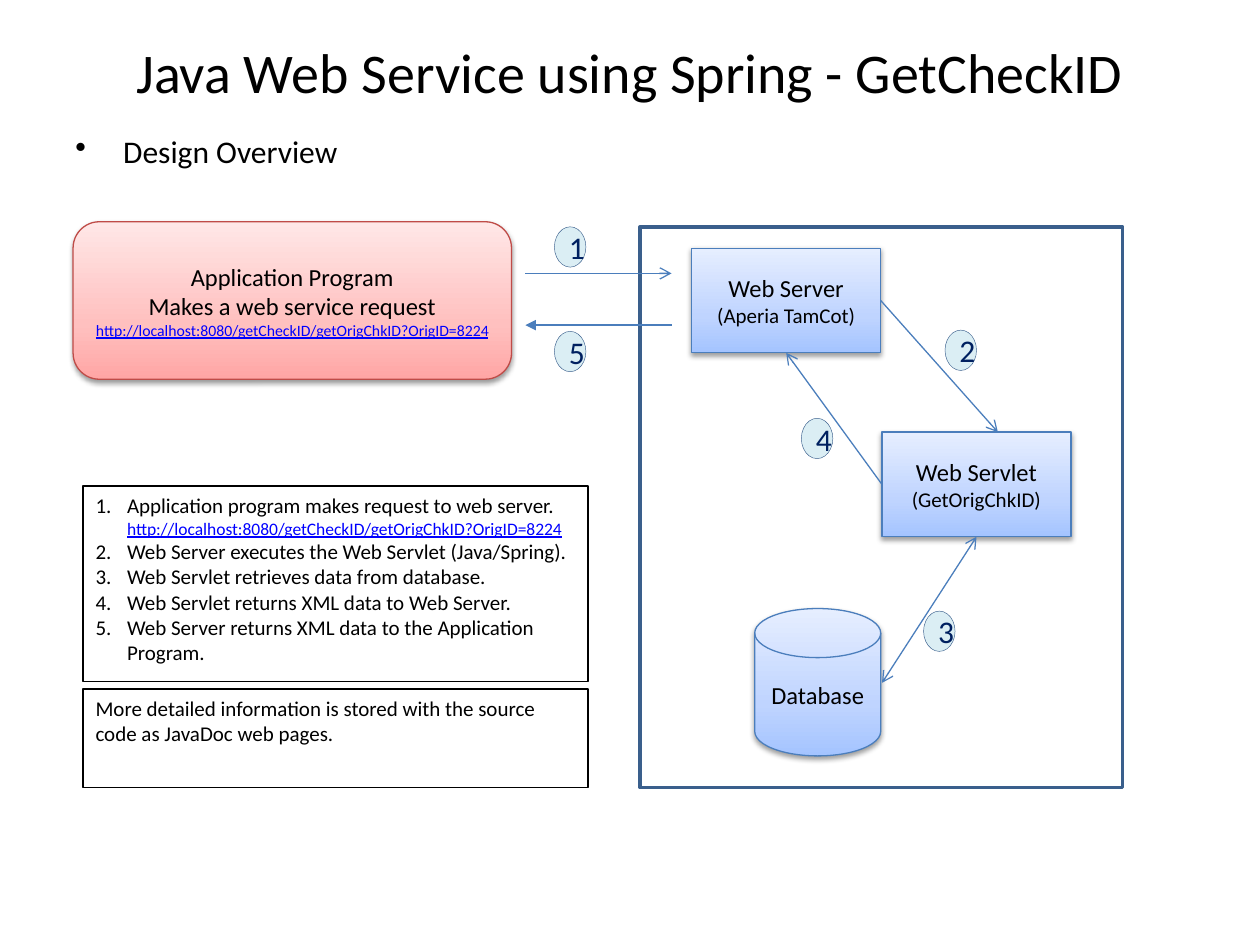
import copy
import pptx
import pptx.util
import pptx.dml.color
import pptx.enum.shapes
import pptx.enum.text
import pptx.oxml
import pptx.oxml.ns

Inches = pptx.util.Inches
Pt = pptx.util.Pt
SHAPE = pptx.enum.shapes.MSO_SHAPE
ALIGN = pptx.enum.text.PP_ALIGN
ANCHOR = pptx.enum.text.MSO_ANCHOR
qn = pptx.oxml.ns.qn
NS = pptx.oxml.ns.nsdecls("a")

COLORS = {
    "black": "000000", "white": "FFFFFF", "navy": "002060", "link": "0000FF",
    "frame": "3A5F8C", "blue": "4B7EBC", "red": "BF4C48", "badge": "DBEEF4",
}
BLUES = ("A4C4FF", "BFD4FF", "E6EEFF")
REDS = ("FFA6A5", "FFC0BF", "FFE7E7")
URL = "http://localhost:8080/getCheckID/getOrigChkID?OrigID=8224"


class Deck:
    face = "Calibri"

    def __init__(self, wide, high):
        self.show = pptx.Presentation()
        self.show.slide_width = Inches(wide)
        self.show.slide_height = Inches(high)
        self.slide = self.show.slides.add_slide(self.show.slide_layouts[6])

    def rgb(self, name):
        return pptx.dml.color.RGBColor.from_string(COLORS.get(name, name))

    def font(self, font, size, color="black"):
        font.name = self.face
        font.size = Pt(size)
        font.color.rgb = self.rgb(color)
        font.underline = color == "link"

    def label(self, shape, rows, align=ALIGN.LEFT, anchor=ANCHOR.TOP):
        frame = shape.text_frame
        frame.word_wrap = True
        frame.vertical_anchor = anchor
        for i, (text, *style) in enumerate(rows):
            para = frame.add_paragraph() if i else frame.paragraphs[0]
            para.text = text
            para.alignment = align
            self.font(para.font, *style)
        return frame.paragraphs

    def text(self, box, rows, **place):
        shape = self.slide.shapes.add_textbox(*map(Inches, box))
        return self.label(shape, rows, **place)

    def bullet(self, para, gap, tag, mark):
        props = para._p.get_or_add_pPr()
        props.set("marL", str(Inches(gap)))
        props.set("indent", str(-Inches(gap)))
        props.insert(0, pptx.oxml.parse_xml(f"<a:{tag} {NS} {mark}/>"))

    def shape(self, kind, box, line, width, fill=None):
        shape = self.slide.shapes.add_shape(kind, *map(Inches, box))
        shape.shadow.inherit = False
        shape.line.color.rgb = self.rgb(line)
        shape.line.width = Pt(width)
        if fill:
            shape.fill.solid()
            shape.fill.fore_color.rgb = self.rgb(fill)
        else:
            shape.fill.background()
        return shape

    def node(self, kind, box, rows, tones=BLUES, line="blue"):
        shape = self.shape(kind, box, line, 0.75)
        shape.fill.gradient()
        shape.fill.gradient_angle = 90
        props = shape._element.spPr
        stops = props.find(".//" + qn("a:gsLst"))
        stops.insert(1, copy.deepcopy(stops[0]))
        for stop, tone, spot in zip(shape.fill.gradient_stops, tones, (0, 0.35, 1)):
            stop.color.rgb = self.rgb(tone)
            stop.position = spot
        props.find(qn("a:effectLst")).append(pptx.oxml.parse_xml(
            f'<a:outerShdw {NS} blurRad="{Pt(3.1)}" dist="{Pt(1.6)}" dir="5400000" rotWithShape="0">'
            '<a:srgbClr val="000000"><a:alpha val="38000"/></a:srgbClr></a:outerShdw>'))
        self.label(shape, rows, ALIGN.CENTER, ANCHOR.MIDDLE)
        return shape

    def badge(self, num, left, top):
        shape = self.shape(SHAPE.OVAL, (left, top, 0.25, 0.32), "frame", 0.25, "badge")
        self.label(shape, [(num, 18, "navy")], ALIGN.CENTER, ANCHOR.MIDDLE)

    def note(self, box, rows):
        return self.label(self.shape(SHAPE.RECTANGLE, box, "black", 1, "white"), rows)

    def arrow(self, start, end, head=None, tail=None, begin=None, finish=None):
        line = self.slide.shapes.add_connector(
            pptx.enum.shapes.MSO_CONNECTOR.STRAIGHT, *map(Inches, start + end))
        line.line.color.rgb = self.rgb("blue")
        line.line.width = Pt(0.75)
        if begin:
            line.begin_connect(*begin)
        if finish:
            line.end_connect(*finish)
        props = line._element.spPr
        stroke = props.find(qn("a:ln"))
        for side, kind in (("headEnd", head), ("tailEnd", tail)):
            if kind:
                stroke.append(pptx.oxml.parse_xml(f'<a:{side} {NS} type="{kind}"/>'))
        props.append(pptx.oxml.parse_xml(f"<a:effectLst {NS}/>"))


def main():
    deck = Deck(10, 7.5)
    deck.text((0.5, 0.3, 9, 0.53), [("Java Web Service using Spring - GetCheckID", 32)],
              align=ALIGN.CENTER, anchor=ANCHOR.MIDDLE)
    body = deck.text((0.5, 1, 9, 5.7), [("Design Overview", 18)])
    deck.bullet(body[0], 0.38, "buChar", 'char="•"')

    deck.shape(SHAPE.RECTANGLE, (5.08, 1.8, 3.83, 4.45), "frame", 2)
    deck.node(SHAPE.FLOWCHART_MAGNETIC_DISK, (5.99, 4.83, 1, 1.17), [("Database", 14)])
    server = deck.node(SHAPE.FLOWCHART_PROCESS, (5.49, 1.97, 1.5, 0.83),
                       [("Web Server", 14), ("(Aperia TamCot)", 12)])
    deck.node(SHAPE.ROUNDED_RECTANGLE, (0.58, 1.76, 3.48, 1.25),
              [("Application Program", 14), ("Makes a web service request", 14),
               (URL, 9, "link")], REDS, "red")
    servlet = deck.node(SHAPE.FLOWCHART_PROCESS, (7, 3.43, 1.5, 0.83),
                        [("Web Servlet", 14), ("(GetOrigChkID)", 12)])

    deck.arrow((4.17, 2.17), (5.33, 2.17), tail="arrow")
    deck.arrow((4.17, 2.58), (5.33, 2.58), head="triangle")
    deck.arrow((7, 2.39), (7.92, 3.43), tail="arrow", begin=(server, 3))
    deck.arrow((7.75, 4.26), (7, 5.42), "arrow", "arrow", begin=(servlet, 2))
    deck.arrow((7, 3.84), (6.24, 2.8), tail="arrow", begin=(servlet, 1), finish=(server, 2))

    steps = ["Application program makes request to web server.",
             "Web Server executes the Web Servlet (Java/Spring).",
             "Web Servlet retrieves data from database.",
             "Web Servlet returns XML data to Web Server.",
             "Web Server returns XML data to the Application Program."]
    paras = deck.note((0.66, 3.86, 4.01, 1.55), [(step, 12) for step in steps])
    for para in paras:
        deck.bullet(para, 0.25, "buAutoNum", 'type="arabicPeriod"')
    paras[0].add_line_break()
    link = paras[0].add_run()
    link.text = URL
    deck.font(link.font, 10, "link")
    deck.note((0.66, 5.47, 4.01, 0.78),
              [("More detailed information is stored with the source code as JavaDoc web pages.", 12)])

    spots = [(4.4, 1.8), (7.5, 2.62), (7.33, 4.85), (6.36, 3.32), (4.4, 2.63)]
    for num, spot in enumerate(spots, 1):
        deck.badge(str(num), *spot)

    deck.show.save("out.pptx")


if __name__ == "__main__":
    main()
